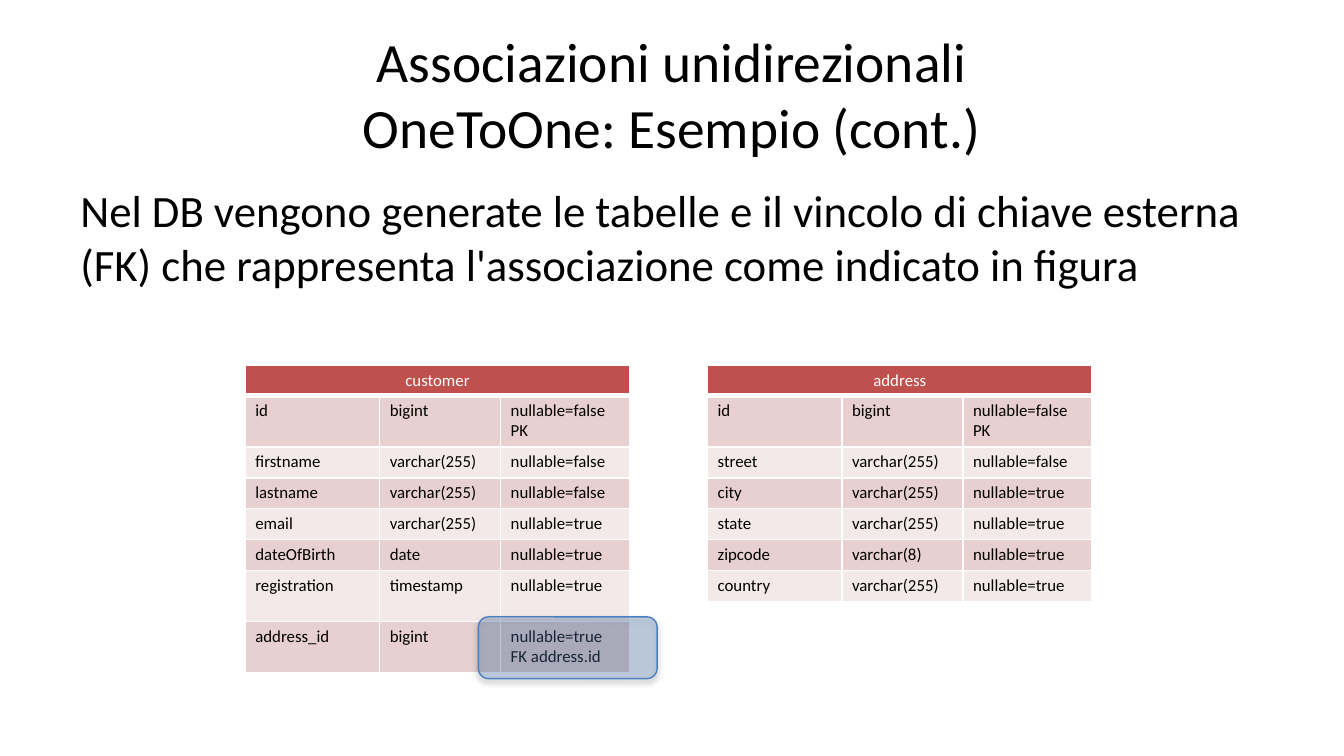
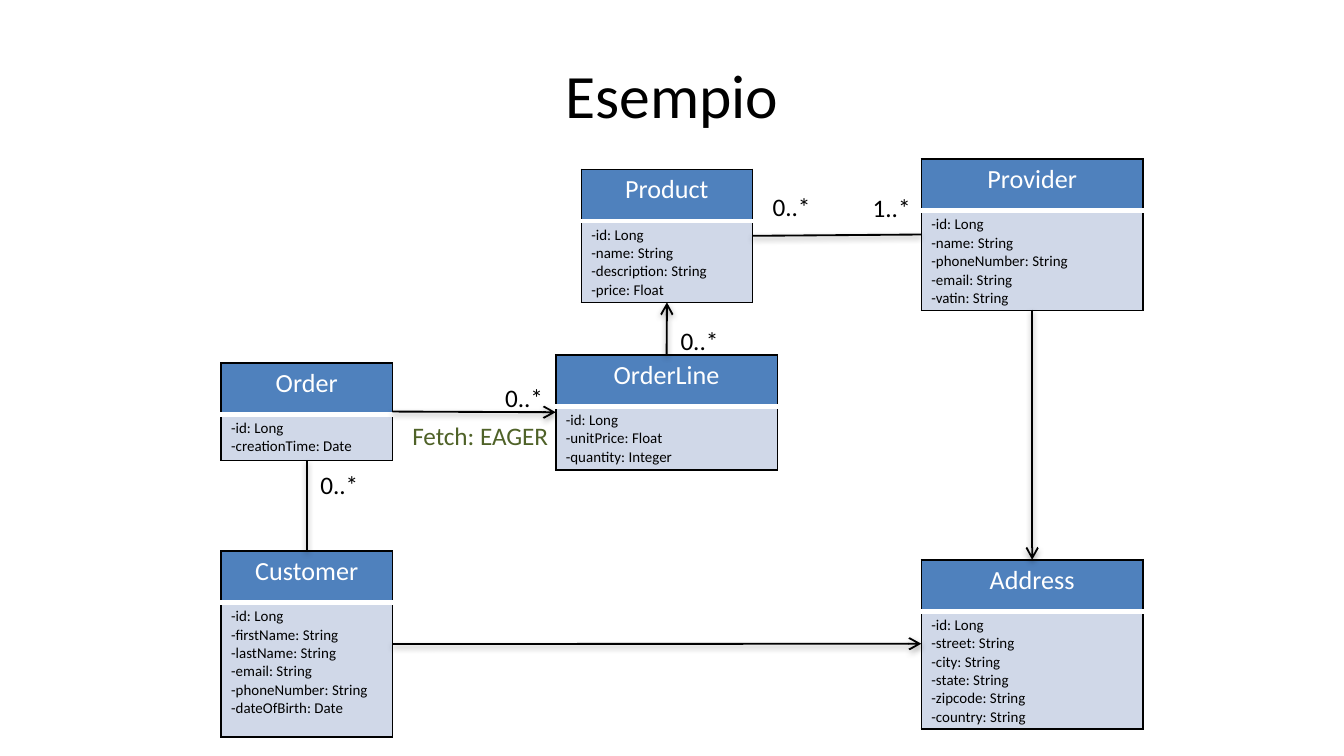
from dataclasses import dataclass

from lxml import etree
from pptx import Presentation
from pptx import util as u
from pptx.dml.color import RGBColor
from pptx.enum import shapes, text
from pptx.oxml import ns

EMU_PER_PX = 4572  # 200 px to the inch
TOP, LEFT, BOTTOM, RIGHT = range(4)


@dataclass(frozen=True)
class Theme:
    font: str = "Calibri"
    black: str = "000000"
    white: str = "FFFFFF"
    red: str = "C0504D"
    bands: tuple = ("E8D0D0", "F4E9E9")
    blue: str = "4F81BD"
    blue_edge: str = "4B7EBC"
    blue_pale: str = "D0D8E8"
    green: str = "4F6228"
    title: float = 33
    title_small: float = 29.7
    body: float = 24
    class_name: float = 14
    label: float = 13.5
    column: float = 9
    field: float = 8


THEME = Theme()


def px(length):
    return u.Emu(length * EMU_PER_PX)


def rgb(colour):
    return RGBColor.from_string(colour)


def sub(parent, tag, **attributes):
    child = etree.SubElement(parent, ns.qn(tag))
    for name, value in attributes.items():
        child.set(name, str(value))
    return child


def add_colour(parent, colour, alpha=None):
    node = sub(parent, "a:srgbClr", val=colour)
    if alpha is not None:
        sub(node, "a:alpha", val=alpha * 1000)


def add_shadow(shape, alpha, distance):
    """Soft black shadow straight below; distance in points."""
    effects = sub(shape._element.spPr, "a:effectLst")
    shadow = sub(effects, "a:outerShdw", blurRad=u.Pt(3.1), dist=u.Pt(distance),
                 dir=5400000, rotWithShape=0)
    add_colour(shadow, THEME.black, alpha)


def write(frame, lines, size, colour=THEME.black, align=text.PP_ALIGN.LEFT):
    """One paragraph for each line; a newline inside a line is a soft break."""
    for index, line in enumerate(lines):
        para = frame.paragraphs[0] if index == 0 else frame.add_paragraph()
        for part_index, part in enumerate(line.split("\n")):
            if part_index:
                para.add_line_break()
            para.add_run().text = part
        para.alignment = align
        para.font.name = THEME.font
        para.font.size = u.Pt(size)
        para.font.color.rgb = rgb(colour)


def add_text(slide, left, top, width, height):
    box = slide.shapes.add_textbox(px(left), px(top), px(width), px(height))
    return box.text_frame


def add_title(slide, title, size):
    frame = add_text(slide, 100, 45, 1800, 188)
    frame.word_wrap = True
    frame.vertical_anchor = text.MSO_ANCHOR.MIDDLE
    write(frame, [title], size, align=text.PP_ALIGN.CENTER)


def add_body(slide, sentence):
    frame = add_text(slide, 100, 262, 1800, 742)
    frame.word_wrap = True
    write(frame, [sentence], THEME.body)


def add_label(slide, left, top, label, width=98, colour=THEME.black):
    frame = add_text(slide, left, top, width, 66)
    frame.word_wrap = False
    frame.auto_size = text.MSO_AUTO_SIZE.SHAPE_TO_FIT_TEXT
    write(frame, [label], THEME.label, colour)


def style_cell(cell, fill, borders):
    """borders: (colour, points) for left, right, top and bottom."""
    properties = cell._tc.get_or_add_tcPr()
    for side, (colour, points) in zip("LRTB", borders):
        line = sub(properties, f"a:ln{side}", w=u.Pt(points))
        add_colour(sub(line, "a:solidFill"), colour)
    cell.fill.solid()
    cell.fill.fore_color.rgb = rgb(fill)
    cell.margin_left = cell.margin_right = px(15)
    cell.margin_top, cell.margin_bottom = px(7), px(8)


def add_grid(slide, left, top, widths, heights):
    frame = slide.shapes.add_table(len(heights), len(widths), px(left), px(top),
                                   px(sum(widths)), px(sum(heights)))
    table = frame.table
    table.first_row = table.horz_banding = False
    for column, width in zip(table.columns, widths):
        column.width = px(width)
    for row, height in zip(table.rows, heights):
        row.height = px(height)
    return frame


def add_db_table(slide, left, name, rows, tall_rows):
    heights = [45] + [76 if row[0] in tall_rows else 46 for row in rows]
    table = add_grid(slide, left, 544, (200, 180, 192), heights).table
    thin, thick = (THEME.white, 1), (THEME.white, 3)
    for cell in table.rows[0].cells:
        style_cell(cell, THEME.red, (thin, thin, thin, thick))
    table.cell(0, 0).merge(table.cell(0, 2))
    write(table.cell(0, 0).text_frame, [name], THEME.column, THEME.white,
          text.PP_ALIGN.CENTER)
    for index, row in enumerate(rows):
        for column, value in enumerate(row):
            cell = table.cell(index + 1, column)
            style_cell(cell, THEME.bands[index % 2], (thin,) * 4)
            write(cell.text_frame, value.split("\n"), THEME.column)


def add_class(slide, left, top, width, name, fields, spare_lines=0):
    """UML class: a name above its fields."""
    body_height = round(15 + 26.4 * (len(fields) + spare_lines))
    frame = add_grid(slide, left, top, (width,), (77, body_height))
    head, body = frame.table.cell(0, 0), frame.table.cell(1, 0)
    edge = (THEME.black, 1)
    style_cell(head, THEME.blue, (edge, edge, edge, (THEME.white, 3)))
    style_cell(body, THEME.blue_pale, (edge, edge, (THEME.white, 1), edge))
    write(head.text_frame, [name], THEME.class_name, THEME.white,
          text.PP_ALIGN.CENTER)
    write(body.text_frame, [f"-{field}" for field in fields], THEME.field)
    return frame


def add_link(slide, start, start_side, end, end_side, arrow=True):
    link = slide.shapes.add_connector(shapes.MSO_CONNECTOR.STRAIGHT, 0, 0, 0, 0)
    link.begin_connect(start, start_side)
    link.end_connect(end, end_side)
    link.line.color.rgb = rgb(THEME.black)
    link.line.width = u.Pt(1)
    if arrow:
        sub(link.line._get_or_add_ln(), "a:tailEnd", type="arrow")
    add_shadow(link, 38, 1.6)


def add_highlight(slide, left, top, width, height):
    mark = slide.shapes.add_shape(shapes.MSO_SHAPE.ROUNDED_RECTANGLE,
                                  px(left), px(top), px(width), px(height))
    mark.fill.solid()
    mark.fill.fore_color.rgb = rgb(THEME.blue)
    colour = mark._element.spPr.find(f".//{ns.qn('a:srgbClr')}")
    sub(colour, "a:alpha", val=29000)
    mark.line.color.rgb = rgb(THEME.blue_edge)
    mark.line.width = u.Pt(0.75)
    add_shadow(mark, 35, 1.8)


def build_tables_slide(slide):
    add_title(slide, "Associazioni unidirezionali\nOneToOne: Esempio (cont.)",
              THEME.title_small)
    add_body(slide, "Nel DB vengono generate le tabelle e il vincolo di chiave "
                    "esterna (FK) che rappresenta l'associazione come indicato "
                    "in figura")
    required, optional = "nullable=false", "nullable=true"
    id_row = ("id", "bigint", f"{required}\nPK")
    add_db_table(slide, 365, "customer", [
        id_row,
        ("firstname", "varchar(255)", required),
        ("lastname", "varchar(255)", required),
        ("email", "varchar(255)", optional),
        ("dateOfBirth", "date", optional),
        ("registration", "timestamp", optional),
        ("address_id", "bigint", f"{optional}\nFK address.id"),
    ], ("id", "registration", "address_id"))
    add_db_table(slide, 1053, "address", [
        id_row,
        ("street", "varchar(255)", required),
        ("city", "varchar(255)", optional),
        ("state", "varchar(255)", optional),
        ("zipcode", "varchar(8)", optional),
        ("country", "varchar(255)", optional),
    ], ("id",))
    add_highlight(slide, 712, 918, 266, 92)


def build_classes_slide(slide):
    add_title(slide, "Esempio", THEME.title)
    narrow, wide = 255, 330
    left_column, right_column = 329, 1371
    product = add_class(slide, 865, 252, narrow, "Product", [
        "id: Long", "name: String", "description: String", "price: Float"])
    provider = add_class(slide, right_column, 237, wide, "Provider", [
        "id: Long", "name: String", "phoneNumber: String", "email: String",
        "vatin: String"])
    order = add_class(slide, left_column, 540, narrow, "Order", [
        "id: Long", "creationTime: Date"])
    order_line = add_class(slide, 827, 528, wide, "OrderLine", [
        "id: Long", "unitPrice: Float", "quantity: Integer"])
    customer = add_class(slide, left_column, 820, narrow, "Customer", [
        "id: Long", "firstName: String", "lastName: String", "email: String",
        "phoneNumber: String", "dateOfBirth: Date"], spare_lines=1)
    address = add_class(slide, right_column, 833, wide, "Address", [
        "id: Long", "street: String", "city: String", "state: String",
        "zipcode: String", "country: String"])

    add_link(slide, product, RIGHT, provider, LEFT, arrow=False)
    add_link(slide, order, RIGHT, order_line, LEFT)
    add_link(slide, order_line, TOP, product, BOTTOM)
    add_link(slide, customer, RIGHT, address, LEFT)
    add_link(slide, customer, TOP, order, BOTTOM, arrow=False)
    add_link(slide, provider, BOTTOM, address, TOP)

    add_label(slide, 1279, 276, "1..*")
    for left, top in ((1130, 275), (732, 559), (457, 688), (993, 474)):
        add_label(slide, left, top, "0..*")
    add_label(slide, 594, 616, "Fetch: EAGER", 248, THEME.green)


def main():
    deck = Presentation()
    deck.slide_width, deck.slide_height = px(2000), px(1125)
    blank = deck.slide_layouts[6]
    for build in (build_tables_slide, build_classes_slide):
        build(deck.slides.add_slide(blank))
    deck.save("out.pptx")


if __name__ == "__main__":
    main()
